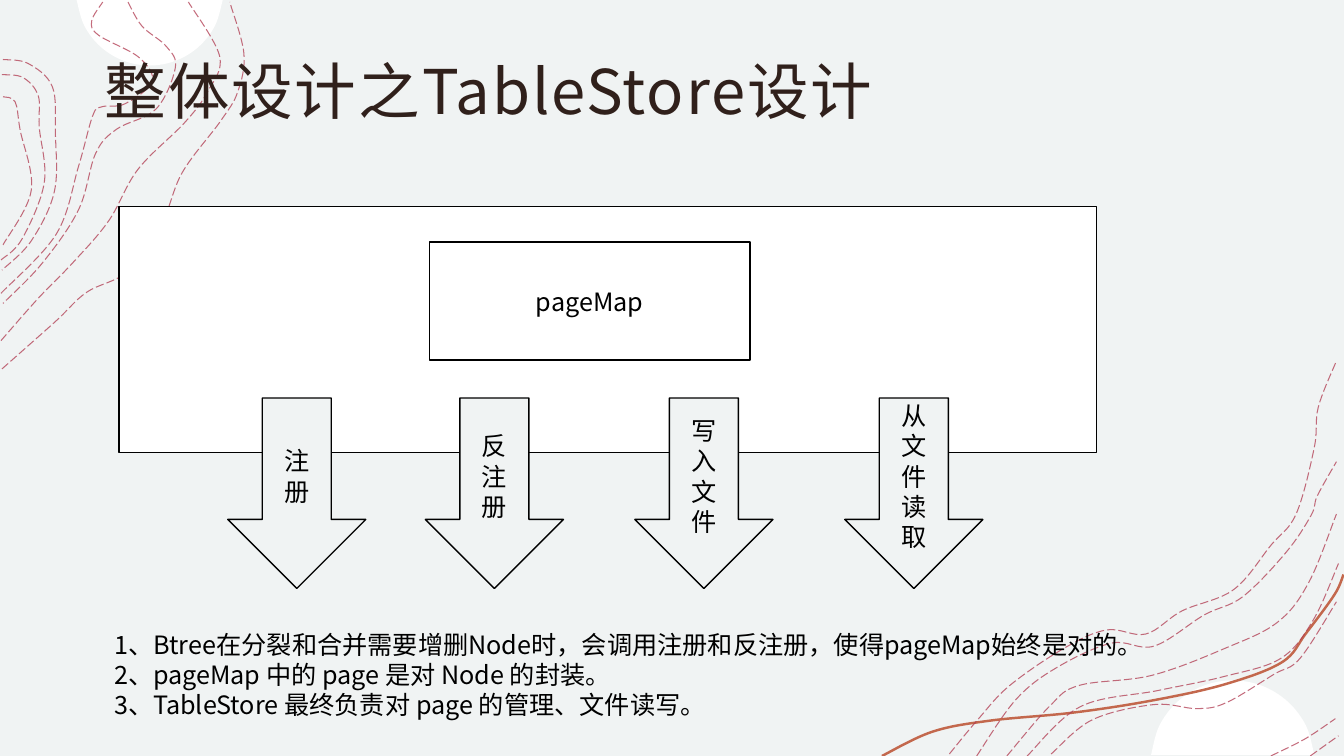
from dataclasses import dataclass
from math import asin, cos, pi, sin

from lxml.etree import SubElement
from pptx import Presentation
from pptx.dml.color import RGBColor
from pptx.enum.dml import MSO_LINE as Dash
from pptx.enum.shapes import MSO_SHAPE as Form
from pptx.enum.text import MSO_ANCHOR as Anchor, MSO_AUTO_SIZE as Fit, PP_ALIGN as Align
from pptx.oxml.ns import qn
from pptx.util import Cm, Pt

FONT = "Noto Sans CJK SC"
MIST = RGBColor(0xF0, 0xF3, 0xF3)
WHITE = RGBColor(0xFF, 0xFF, 0xFF)
BLACK = RGBColor(0x00, 0x00, 0x00)
BROWN = RGBColor(0x30, 0x20, 0x1B)
ROSE = RGBColor(0xB1, 0x3B, 0x51)
RUST = RGBColor(0xC3, 0x68, 0x4D)

GRID = 2.54  # centimetres per unit of the contour points
Points = list[tuple[float, float]]


@dataclass
class Block:
    left: float
    top: float
    width: float
    height: float
    text: str = ""
    form: Form = Form.RECTANGLE
    fill: RGBColor = WHITE


@dataclass
class Cap:
    mid: float
    edge: float
    half: float
    rise: float  # negative bulges upwards


ARROWS = [
    Block(left, 10.03, 3.48, 4.8, text, Form.DOWN_ARROW, MIST)
    for left, text in [(5.74, "注册"), (10.72, "反注册"), (16, "写入文件"), (21.29, "从文件读取")]
]
BLOCKS = [Block(3, 5.21, 24.64, 6.2), Block(10.82, 6.1, 8.08, 2.97, "pageMap"), *ARROWS]
CAPS = [Cap(1.485, 0, 0.725, 0.65), Cap(12.23, 7.49, 0.81, -0.74)]

NOTES = [
    "1、Btree在分裂和合并需要增删Node时，会调用注册和反注册，使得pageMap始终是对的。",
    "2、pageMap 中的 page 是对 Node 的封装。",
    "3、TableStore 最终负责对 page 的管理、文件读写。",
]

# Solid ribbon
RIBBON = [(8.75, 7.5), (9.25, 7.26), (9.82, 7.15), (10.65, 7.07), (11.43, 6.95), (12.15, 6.79),
          (12.72, 6.57), (12.96, 6.28), (13.24, 5.9), (13.33, 5.7)]

# Dashed contours of the two corners
WEST = [
    [(0.02, 3.66), (0.55, 3.19), (0.86, 2.9), (1.27, 2.69), (1.6, 2.23), (1.81, 1.71),
     (2.19, 1.2), (2.36, 0.91), (2.42, 0.53), (2.28, 0.02)],
    [(0.01, 3.38), (0.38, 2.96), (0.73, 2.6), (1.08, 2.19), (1.37, 1.68), (1.83, 1.22),
     (2.06, 0.91), (2.18, 0.56), (1.87, 0.02)],
    [(1.27, 0.02), (1.41, 0.26), (1.65, 0.46), (1.74, 0.67), (1.55, 1.08), (1.16, 1.28),
     (0.95, 1.52), (0.78, 2.08), (0.42, 2.61), (0.03, 3.01)],
    [(0.01, 2.91), (0.56, 2.32), (0.78, 1.65), (0.92, 1.15), (1.01, 1.06), (1.24, 1.03),
     (1.51, 0.81), (1.38, 0.57), (0.98, 0.35), (0.91, 0.21), (1.02, 0.02)],
    [(0.03, 0.59), (0.28, 0.63), (0.52, 0.86), (0.55, 1.32), (0.54, 1.9), (0.31, 2.39),
     (0.02, 2.68)],
    [(0.02, 0.74), (0.23, 0.77), (0.38, 0.95), (0.39, 1.26), (0.44, 1.81), (0.22, 2.37),
     (0.01, 2.58)],
    [(0.03, 0.96), (0.15, 1.01), (0.2, 1.29), (0.31, 1.89), (0.03, 2.43)],
]
EAST = [
    [(9.42, 7.48), (9.71, 7.13), (10.02, 6.8), (10.56, 6.43), (10.98, 6.25), (11.37, 6.29),
     (11.73, 6.06), (12.24, 5.85), (12.61, 5.41), (12.86, 5.1), (13.04, 4.44), (13.08, 4.04),
     (13.26, 3.58)],
    [(9.69, 7.5), (10.08, 6.94), (10.49, 6.62), (11.03, 6.38), (11.45, 6.41), (11.95, 6.1),
     (12.33, 5.92), (12.76, 5.48), (13.01, 5.11), (13.07, 4.92), (13.26, 4.58)],
    [(13, 7.5), (13.28, 7.3)],
    [(12.61, 7.5), (12.95, 7.33), (13.25, 7.13)],
    [(10.43, 7.48), (10.84, 7.14), (11.45, 6.99), (11.88, 7.03), (12.17, 6.97), (12.64, 6.69),
     (12.9, 6.53), (13.26, 5.97)],
    [(10.19, 7.5), (10.72, 7.01), (11.49, 6.85), (12.15, 6.71), (12.71, 6.53), (13.03, 6.15),
     (13.28, 5.59)],
    [(9.99, 7.5), (10.42, 7), (10.71, 6.8), (11.43, 6.7), (12.16, 6.43), (12.68, 6.17),
     (12.99, 5.77), (13.26, 5.1)],
]


def arc(cap: Cap, steps: int = 8) -> Points:
    """Trace the part of a circle that stands on a slide edge."""
    high = abs(cap.rise)
    sign = cap.rise / high
    radius = (cap.half ** 2 + high ** 2) / (2 * high)
    start = asin((radius - high) / radius)
    turns = [start + (pi - 2 * start) * i / steps for i in range(steps + 1)]
    return [(cap.mid + radius * cos(turn), cap.edge + sign * (high - radius + radius * sin(turn)))
            for turn in turns]


def bend(shape) -> None:
    """Turn the straight segments of a freeform into one smooth curve."""
    root = shape._element
    spots = [(int(pt.get("x")), int(pt.get("y"))) for pt in root.iter(qn("a:pt"))]
    ends = [spots[0], *spots, spots[-1]]
    for i, leg in enumerate(list(root.iter(qn("a:lnTo")))):
        a, b, c, d = ends[i:i + 4]
        curve = leg.getparent().makeelement(qn("a:cubicBezTo"))
        leg.getparent().replace(leg, curve)
        first = [q + (r - p) / 6 for p, q, r in zip(a, b, c)]
        second = [q - (r - p) / 6 for p, q, r in zip(b, c, d)]
        for x, y in (first, second, c):
            SubElement(curve, qn("a:pt"), x=str(round(x)), y=str(round(y)))


def trace(shapes, knots: Points, close: bool):
    spots = [(Cm(GRID * x), Cm(GRID * y)) for x, y in knots]
    pen = shapes.build_freeform(*spots[0])
    pen.add_line_segments(spots[1:], close=close)
    shape = pen.convert_to_shape()
    shape.shadow.inherit = False
    bend(shape)
    return shape


def area(shapes, knots: Points, color: RGBColor) -> None:
    shape = trace(shapes, knots, True)
    shape.fill.solid()
    shape.fill.fore_color.rgb = color
    shape.line.fill.background()


def stroke(shapes, knots: Points, color: RGBColor, width: float):
    shape = trace(shapes, knots, False)
    shape.fill.background()
    shape.line.color.rgb, shape.line.width = color, Pt(width)
    return shape.line


def contour(shapes, knots: Points) -> None:
    line = stroke(shapes, knots, ROSE, 0.75)
    line.dash_style = Dash.LONG_DASH
    tint = line._get_or_add_ln().find(f".//{qn('a:srgbClr')}")
    SubElement(tint, qn("a:alpha"), val="75000")


def style(part, size: float, color: RGBColor, align: Align) -> None:
    part.alignment = align
    for run in part.runs:
        font = run.font
        font.size, font.name, font.color.rgb = Pt(size), FONT, color
        SubElement(font._element, qn("a:ea"), typeface=FONT)


def draw(shapes, block: Block) -> None:
    shape = shapes.add_shape(block.form, Cm(block.left), Cm(block.top),
                             Cm(block.width), Cm(block.height))
    shape.shadow.inherit = False
    shape.fill.solid()
    shape.fill.fore_color.rgb = block.fill
    shape.line.color.rgb, shape.line.width = BLACK, Pt(1)
    if block.text:
        shape.text_frame.text = block.text
        shape.text_frame.vertical_anchor = Anchor.MIDDLE
        style(shape.text_frame.paragraphs[0], 18, BLACK, Align.CENTER)


def place(shape, left: float, top: float, width: float, height: float, text: str, anchor: Anchor):
    shape.left, shape.top, shape.width, shape.height = map(Cm, (left, top, width, height))
    frame = shape.text_frame
    frame.text, frame.word_wrap, frame.auto_size = text, True, Fit.NONE
    frame.vertical_anchor = anchor
    return frame


def main() -> None:
    deck = Presentation()
    deck.slide_width, deck.slide_height = Cm(33.87), Cm(19.05)
    slide = deck.slides.add_slide(deck.slide_layouts[1])
    shapes = slide.shapes
    title, body = shapes.title, slide.placeholders[1]

    # Backdrop
    slide.background.fill.solid()
    slide.background.fill.fore_color.rgb = MIST
    for cap in CAPS:
        area(shapes, arc(cap), WHITE)
    stroke(shapes, RIBBON, RUST, 1.75)
    for corner in (WEST, EAST):
        group = shapes.add_group_shape()
        for knots in corner:
            contour(group.shapes, knots)

    # Title, above the backdrop
    shapes._spTree.append(title._element)
    frame = place(title, 2.34, 0.28, 29.21, 3.68, "整体设计之TableStore设计", Anchor.MIDDLE)
    frame.margin_left = frame.margin_right = frame.margin_top = Cm(0.3)
    head = frame.paragraphs[0]
    head.line_spacing = 1.05
    style(head, 44, BROWN, Align.LEFT)
    head.runs[0].font._element.set("spc", "130")

    # Diagram
    for block in BLOCKS:
        draw(shapes, block)

    # Notes
    shapes._spTree.append(body._element)
    frame = place(body, 2.62, 15.72, 26.52, 2.57, "\n".join(NOTES), Anchor.TOP)
    for part in frame.paragraphs:
        style(part, 18, BLACK, Align.LEFT)
        part.space_before = Pt(0)
        props = part._p.get_or_add_pPr()
        props.set("marL", "0")
        props.set("indent", "0")
        SubElement(props, qn("a:buNone"))

    deck.save("out.pptx")


if __name__ == "__main__":
    main()
